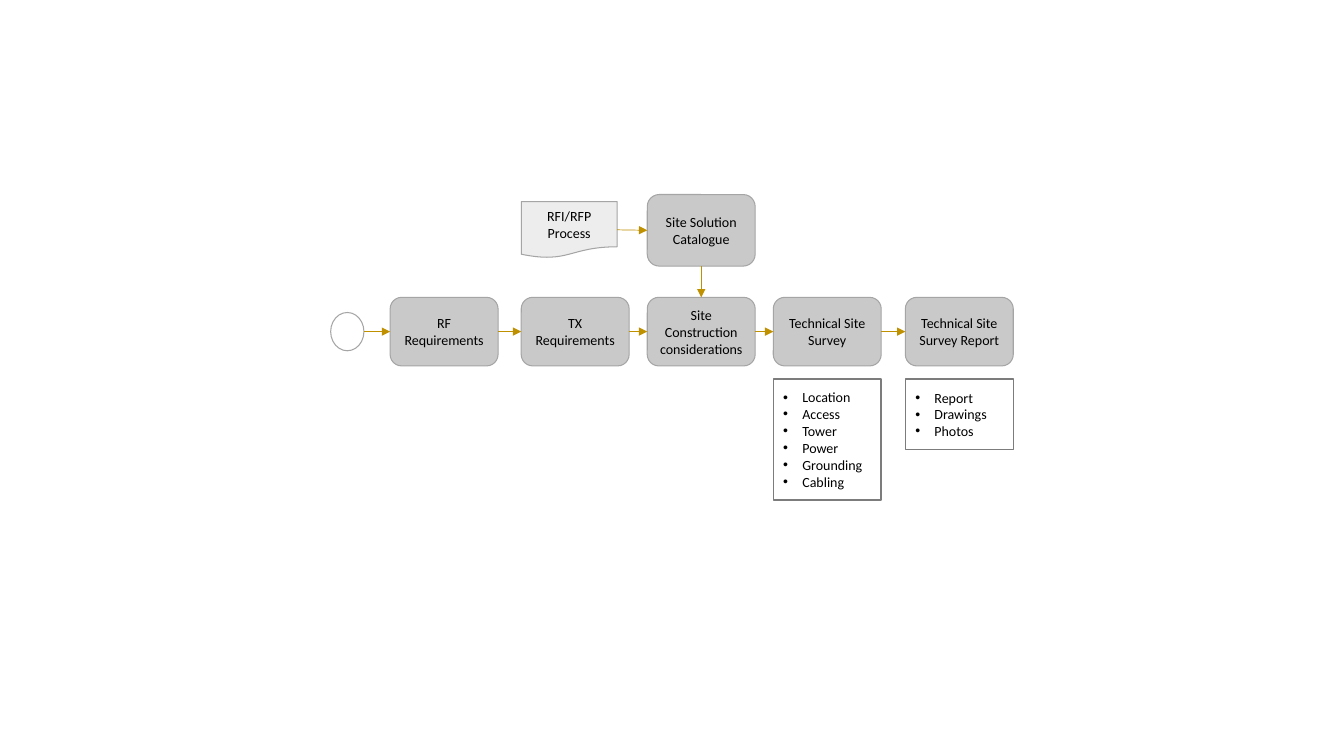
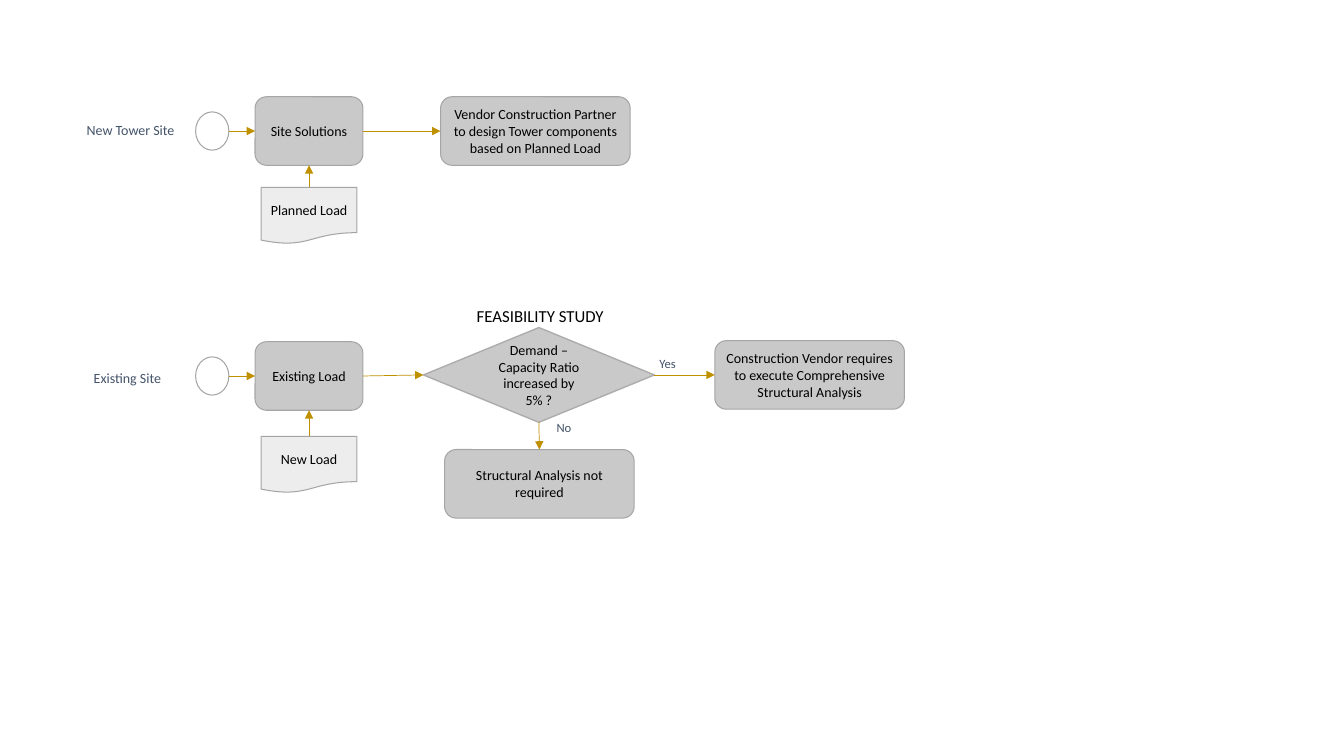
from dataclasses import dataclass

from lxml import etree
from pptx import Presentation
from pptx import util as u
from pptx.dml import color
from pptx.enum import shapes, text
from pptx.oxml import ns

SCALE = 9144
SLIDE_SIZE = (1333, 750)


@dataclass(frozen=True)
class Theme:
    font: str = "Calibri"
    body: int = 10
    heading: int = 12
    answer: int = 9
    ink: str = "000000"
    label: str = "44546A"
    step: str = "C9C9C9"
    document: str = "EDEDED"
    paper: str = "FFFFFF"
    outline: str = "A5A5A5"
    decision_outline: str = "AFABAB"
    list_outline: str = "7C7C7C"
    arrow: str = "BF9000"


THEME = Theme()
FORMS = shapes.MSO_SHAPE
KINDS = {
    "start": dict(form=FORMS.OVAL, size=(33, 38), fill=THEME.paper),
    "step": dict(form=FORMS.ROUNDED_RECTANGLE, size=(107, 68), fill=THEME.step),
    "catalogue": dict(form=FORMS.ROUNDED_RECTANGLE, size=(107, 71), fill=THEME.step),
    "outcome": dict(form=FORMS.ROUNDED_RECTANGLE, size=(188, 68), fill=THEME.step),
    "document": dict(form=FORMS.FLOWCHART_DOCUMENT, size=(95, 56), fill=THEME.document),
    "decision": dict(form=FORMS.FLOWCHART_DECISION, size=(229, 94), fill=THEME.step,
                     outline=THEME.decision_outline, weight=1, margins=(10, 5)),
}
LABELS = {
    "row": dict(size=(100, 17), points=THEME.body, ink=THEME.label),
    "answer": dict(size=(30, 15), points=THEME.answer, ink=THEME.label),
    "heading": dict(size=(159, 30), points=THEME.heading, margins=(10, 5)),
}
SITES = {"top": 0, "left": 1, "bottom": 2, "right": 3}
ACROSS = ("right", "left")
DOWN = ("bottom", "top")
UP = ("top", "bottom")

SLIDES = [
    {
        "nodes": {
            "request": ("document", 517, 200, "RFI/RFP Process"),
            "catalogue": ("catalogue", 642, 193, "Site Solution Catalogue"),
            "start": ("start", 328, 310, ""),
            "rf": ("step", 387, 295, "RF Requirements"),
            "tx": ("step", 517, 295, "TX Requirements"),
            "construction": ("step", 642, 295, "Site Construction considerations"),
            "survey": ("step", 767, 295, "Technical Site Survey"),
            "report": ("step", 898, 295, "Technical Site Survey Report"),
        },
        "links": [
            ("request", "catalogue", ACROSS),
            ("start", "rf", ACROSS),
            ("rf", "tx", ACROSS),
            ("tx", "construction", ACROSS),
            ("construction", "survey", ACROSS),
            ("survey", "report", ACROSS),
            ("catalogue", "construction", DOWN),
        ],
        "lists": [
            (767, 376, 120, ["Location", "Access", "Tower", "Power", "Grounding", "Cabling"]),
            (898, 376, 70, ["Report", "Drawings", "Photos"]),
        ],
        "labels": [],
    },
    {
        "nodes": {
            "new start": ("start", 194, 111, ""),
            "solutions": ("step", 253, 96, "Site Solutions"),
            "planned load": ("document", 259, 186, "Planned Load"),
            "design": ("outcome", 437, 96,
                       "Vendor Construction Partner to design Tower components based on Planned Load"),
            "existing start": ("start", 194, 354, ""),
            "existing load": ("step", 253, 339, "Existing Load"),
            "new load": ("document", 259, 433, "New Load"),
            "ratio": ("decision", 420, 325, "Demand – Capacity Ratio increased by 5% ?"),
            "analysis": ("outcome", 709, 338,
                         "Construction Vendor requires to execute Comprehensive Structural Analysis"),
            "no analysis": ("outcome", 441, 446, "Structural Analysis not required"),
        },
        "links": [
            ("new start", "solutions", ACROSS),
            ("planned load", "solutions", UP),
            ("solutions", "design", ACROSS),
            ("existing start", "existing load", ACROSS),
            ("new load", "existing load", UP),
            ("existing load", "ratio", ACROSS),
            ("ratio", "analysis", ACROSS),
            ("ratio", "no analysis", DOWN),
        ],
        "lists": [],
        "labels": [
            ("row", 86, 121, "New Tower Site"),
            ("row", 93, 367, "Existing Site"),
            ("heading", 463, 298, "FEASIBILITY STUDY"),
            ("answer", 654, 353, "Yes"),
            ("answer", 552, 417, "No"),
        ],
    },
]


def px(*lengths):
    return [u.Emu(round(length * SCALE)) for length in lengths]


def rgb(value):
    return color.RGBColor.from_string(value)


def add_bullet(paragraph):
    properties = paragraph._p.get_or_add_pPr()
    indent = px(19)[0]
    properties.set("marL", str(indent))
    properties.set("indent", str(-indent))
    etree.SubElement(properties, ns.qn("a:buFont")).set("typeface", "Arial")
    etree.SubElement(properties, ns.qn("a:buChar")).set("char", "•")


def write(shape, lines, points=THEME.body, ink=THEME.ink, align=text.PP_ALIGN.LEFT,
          anchor=text.MSO_ANCHOR.TOP, margins=(0, 0), bullets=False):
    frame = shape.text_frame
    frame.word_wrap = True
    frame.vertical_anchor = anchor
    frame.margin_left = frame.margin_right = px(margins[0])[0]
    frame.margin_top = frame.margin_bottom = px(margins[1])[0]
    for index, line in enumerate(lines):
        paragraph = frame.add_paragraph() if index else frame.paragraphs[0]
        paragraph.alignment = align
        if bullets:
            add_bullet(paragraph)
        run = paragraph.add_run()
        run.text = line
        run.font.name = THEME.font
        run.font.size = u.Pt(points)
        run.font.color.rgb = rgb(ink)


def add_box(slide, x, y, form, size, fill=None, outline=THEME.outline, weight=0.75):
    shape = slide.shapes.add_shape(form, *px(x, y, *size))
    shape.shadow.inherit = False
    if fill:
        shape.fill.solid()
        shape.fill.fore_color.rgb = rgb(fill)
    else:
        shape.fill.background()
    shape.line.color.rgb = rgb(outline)
    shape.line.width = u.Pt(weight)
    return shape


def add_node(slide, kind, x, y, caption):
    style = dict(KINDS[kind])
    margins = style.pop("margins", (8, 8))
    shape = add_box(slide, x, y, **style)
    if caption:
        write(shape, [caption], align=text.PP_ALIGN.CENTER,
              anchor=text.MSO_ANCHOR.MIDDLE, margins=margins)
    return shape


def add_list(slide, x, y, height, items):
    shape = add_box(slide, x, y, FORMS.RECTANGLE, (107, height),
                    outline=THEME.list_outline, weight=1)
    write(shape, items, anchor=text.MSO_ANCHOR.MIDDLE, margins=(10, 5), bullets=True)


def add_label(slide, kind, x, y, caption):
    style = dict(LABELS[kind])
    box = slide.shapes.add_textbox(*px(x, y, *style.pop("size")))
    write(box, [caption], **style)


def edge_point(shape, side):
    across = {"left": 0, "right": 1}.get(side, 0.5)
    down = {"top": 0, "bottom": 1}.get(side, 0.5)
    return (u.Emu(round(shape.left + shape.width * across)),
            u.Emu(round(shape.top + shape.height * down)))


def add_arrow(slide, source, target, sides):
    connector = slide.shapes.add_connector(
        shapes.MSO_CONNECTOR.STRAIGHT,
        *edge_point(source, sides[0]), *edge_point(target, sides[1]))
    if source.auto_shape_type != FORMS.OVAL:
        connector.begin_connect(source, SITES[sides[0]])
    connector.end_connect(target, SITES[sides[1]])
    connector.line.color.rgb = rgb(THEME.arrow)
    connector.line.width = u.Pt(0.5)
    properties = connector._element.spPr
    outline = properties.find(ns.qn("a:ln"))
    etree.SubElement(outline, ns.qn("a:tailEnd")).set("type", "triangle")
    etree.SubElement(properties, ns.qn("a:effectLst"))


def add_flow(presentation, content):
    slide = presentation.slides.add_slide(presentation.slide_layouts[6])
    nodes = {name: add_node(slide, *node) for name, node in content["nodes"].items()}
    for items in content["lists"]:
        add_list(slide, *items)
    for source, target, sides in content["links"]:
        add_arrow(slide, nodes[source], nodes[target], sides)
    for label in content["labels"]:
        add_label(slide, *label)


def main():
    presentation = Presentation()
    presentation.slide_width, presentation.slide_height = px(*SLIDE_SIZE)
    for content in SLIDES:
        add_flow(presentation, content)
    presentation.save("out.pptx")


if __name__ == "__main__":
    main()
